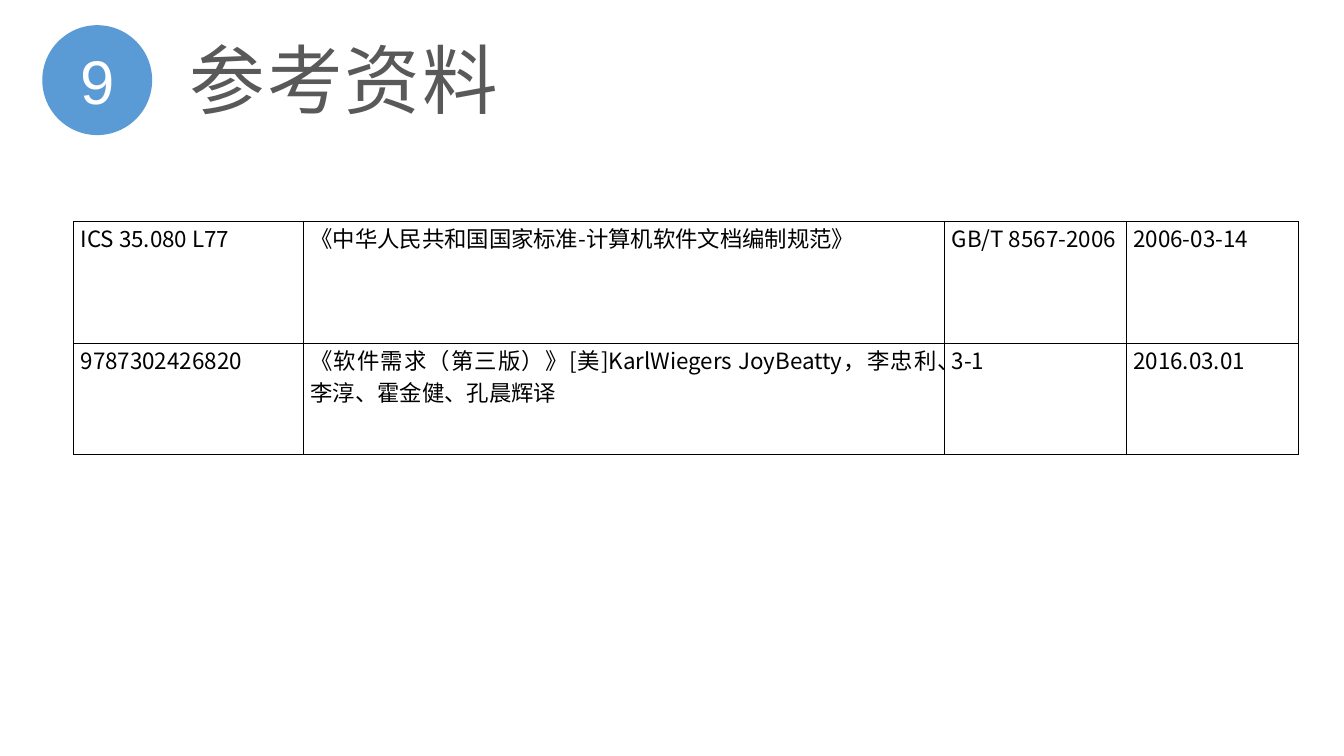
from lxml import etree
from pptx import Presentation
from pptx.dml.color import RGBColor
from pptx.enum import shapes, text
from pptx.oxml import ns
from pptx.util import Pt

COLORS = {"badge": "5B9BD5", "white": "FFFFFF", "title": "595959", "ink": "000000"}
CJK_FONT = "Noto Sans CJK SC"
COLUMN_WIDTHS = [164.2, 458, 129.8, 123]
ROW_HEIGHTS = [87, 79]
REFERENCES = [
    ["ICS 35.080 L77", "《中华人民共和国国家标准-计算机软件文档编制规范》",
     "GB/T 8567-2006", "2006-03-14"],
    ["9787302426820",
     "《软件需求（第三版）》[美]KarlWiegers JoyBeatty，李忠利、李淳、霍金健、孔晨辉译",
     "3-1", "2016.03.01"],
]


def color(name):
    return RGBColor.from_string(COLORS[name])


def add_run(paragraph, content, size, font, color_name, spacing=0):
    run = paragraph.add_run()
    run.text = content
    run.font.size = Pt(size)
    run.font.name = font
    run.font.color.rgb = color(color_name)
    properties = run._r.get_or_add_rPr()
    east_asian = etree.SubElement(properties, ns.qn("a:ea"))
    east_asian.set("typeface", CJK_FONT)
    if spacing:
        properties.set("spc", str(round(spacing * 100)))


def add_circle(slide, left, top, diameter):
    circle = slide.shapes.add_shape(
        shapes.MSO_SHAPE.OVAL, Pt(left), Pt(top), Pt(diameter), Pt(diameter))
    circle.shadow.inherit = False
    circle.fill.solid()
    circle.fill.fore_color.rgb = color("badge")
    circle.line.fill.background()


def add_text(slide, box, anchor, margins):
    frame = slide.shapes.add_textbox(*map(Pt, box)).text_frame
    frame.word_wrap = True
    frame.vertical_anchor = anchor
    frame.margin_left = frame.margin_right = Pt(margins[0])
    frame.margin_top = frame.margin_bottom = Pt(margins[1])
    return frame.paragraphs[0]


def set_borders(cell):
    properties = cell._tc.get_or_add_tcPr()
    for index, side in enumerate(("lnL", "lnR", "lnT", "lnB")):
        line = etree.Element(ns.qn(f"a:{side}"), w=str(Pt(1)))
        fill = etree.SubElement(line, ns.qn("a:solidFill"))
        etree.SubElement(fill, ns.qn("a:srgbClr"), val=COLORS["ink"])
        properties.insert(index, line)


def fill_cell(cell, content):
    cell.fill.solid()
    cell.fill.fore_color.rgb = color("white")
    cell.margin_left = cell.margin_right = Pt(5)
    cell.margin_top = cell.margin_bottom = Pt(0)
    paragraph = cell.text_frame.paragraphs[0]
    paragraph.alignment = text.PP_ALIGN.JUSTIFY
    add_run(paragraph, content, 16, CJK_FONT, "ink")
    set_borders(cell)


def add_reference_table(slide, left, top):
    table = slide.shapes.add_table(
        len(REFERENCES), len(COLUMN_WIDTHS), Pt(left), Pt(top),
        Pt(sum(COLUMN_WIDTHS)), Pt(sum(ROW_HEIGHTS))).table
    table.first_row = table.horz_banding = False
    for column, width in zip(table.columns, COLUMN_WIDTHS):
        column.width = Pt(width)
    for row, height, reference in zip(table.rows, ROW_HEIGHTS, REFERENCES):
        row.height = Pt(height)
        for cell, content in zip(row.cells, reference):
            fill_cell(cell, content)


def main():
    presentation = Presentation()
    presentation.slide_width, presentation.slide_height = Pt(960), Pt(540)
    slide = presentation.slides.add_slide(presentation.slide_layouts[6])

    add_circle(slide, 30.2, 18, 78.5)
    number = add_text(slide, (26.6, 20.9, 85.7, 72.7), text.MSO_ANCHOR.MIDDLE, (0, 0))
    number.alignment = text.PP_ALIGN.CENTER
    add_run(number, "9", 44, "Arial", "white", 2)

    title = add_text(slide, (128.2, 27.4, 262.8, 65.5), text.MSO_ANCHOR.BOTTOM, (7.2, 3.6))
    title.line_spacing = 0.9
    add_run(title, "参考资料", 54, "Calibri", "title", 1.5)

    add_reference_table(slide, 52.6, 158.4)
    presentation.save("out.pptx")


if __name__ == "__main__":
    main()
